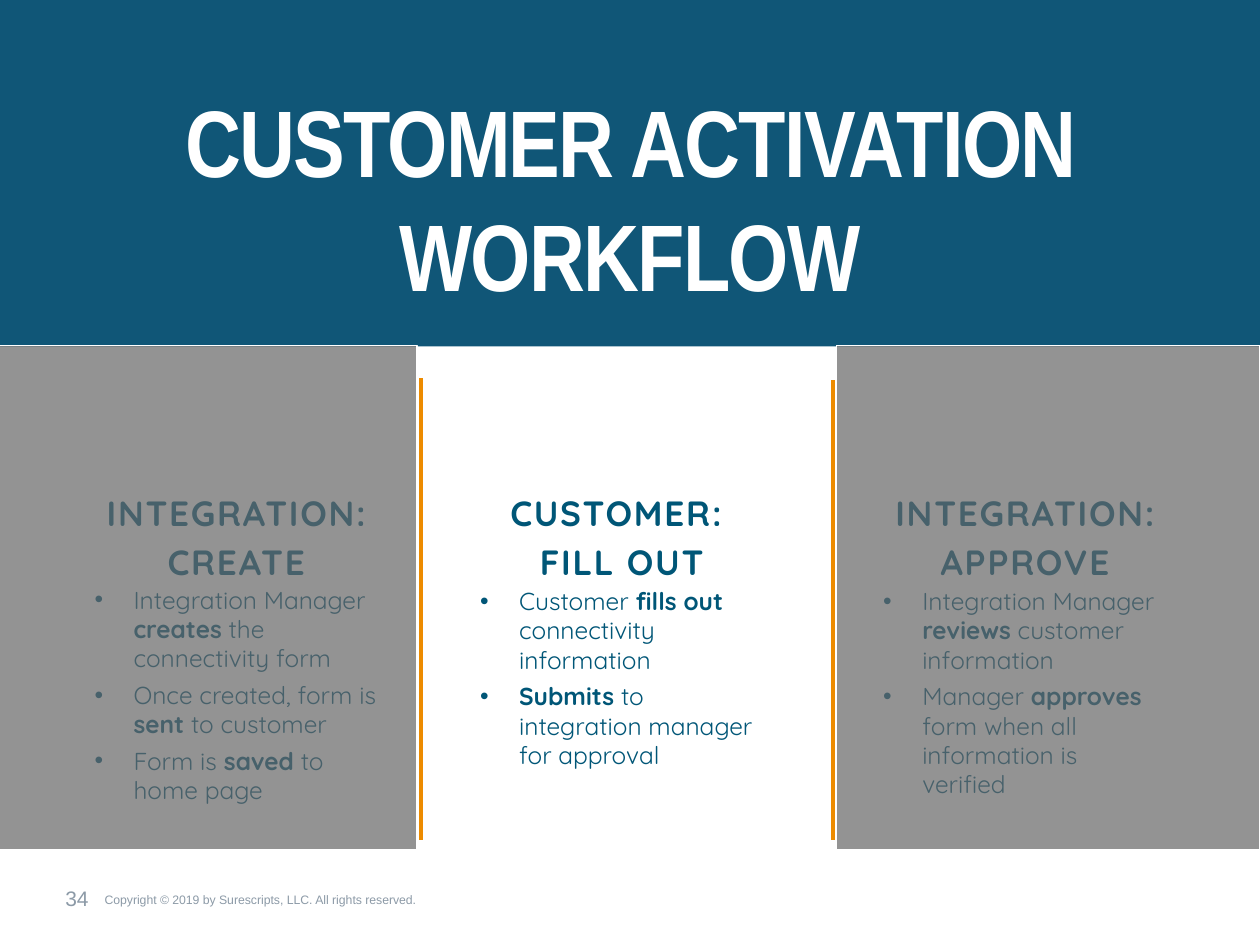
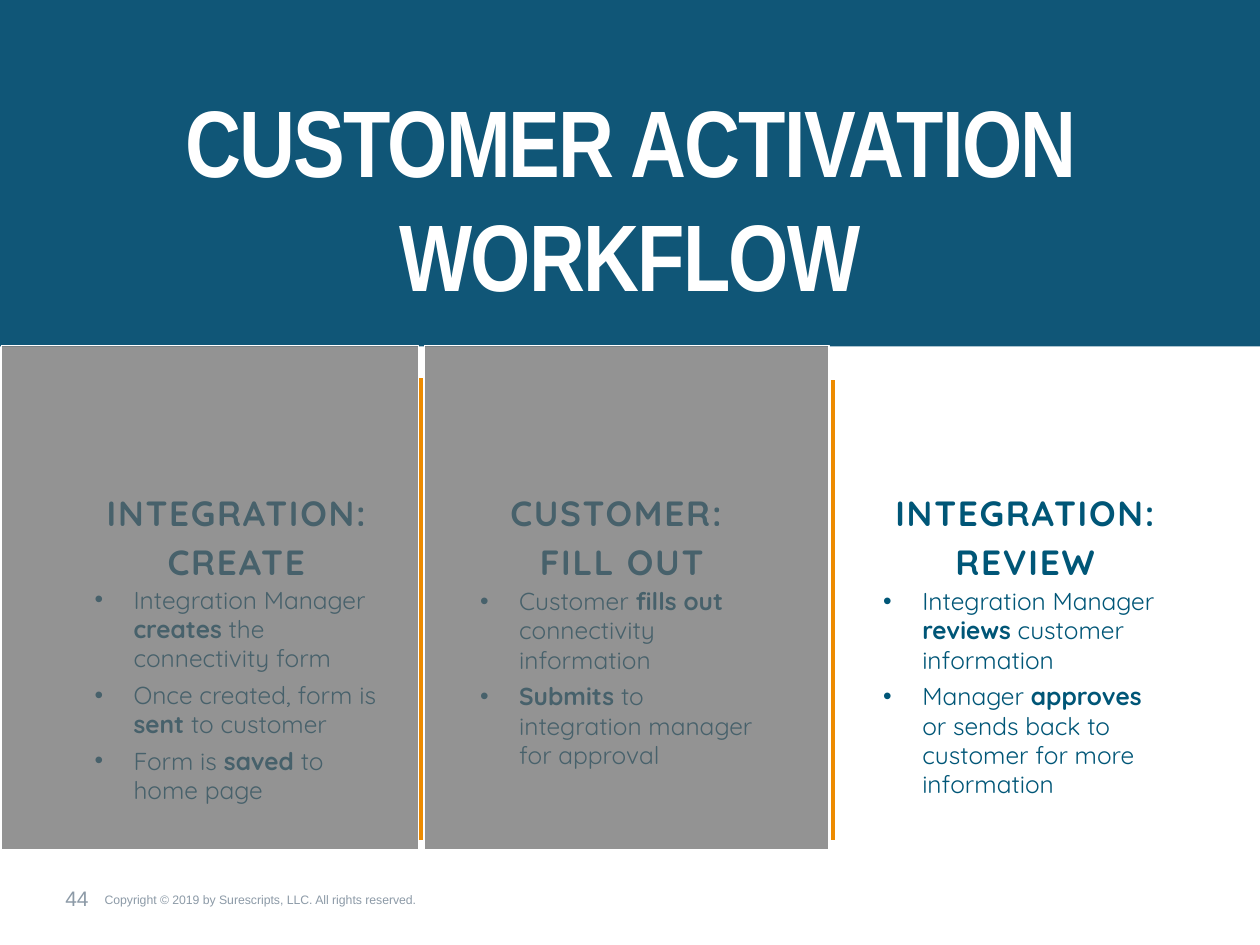
from lxml.etree import SubElement
from pptx import Presentation
from pptx.dml.color import RGBColor
from pptx.enum.shapes import MSO_CONNECTOR, MSO_SHAPE
from pptx.enum.text import MSO_ANCHOR, PP_ALIGN
from pptx.oxml.ns import qn
from pptx.util import Inches, Pt

WHITE = RGBColor(0xFF, 0xFF, 0xFF)
BAND_BLUE = RGBColor(0x10, 0x56, 0x77)
TEXT_BLUE = RGBColor(0x00, 0x56, 0x77)
ORANGE = RGBColor(0xED, 0x8B, 0x00)
SHADE_GRAY = RGBColor(0x66, 0x66, 0x66)
FOOTER_GRAY = RGBColor(0x8C, 0x9A, 0xA7)

TITLE = "CUSTOMER ACTIVATION WORKFLOW"
COPYRIGHT = "Copyright © 2019 by Surescripts, LLC. All rights reserved."
DIVIDERS = [(3.34, 3), (6.61, 3.02)]
DIVIDER_BOTTOM = 6.67
COLUMN_WIDTH = 2.25
SHADE_TOP, SHADE_HEIGHT = 2.74, 4
SHADE_OPACITY = 70

# Words between asterisks are bold
CREATE = (0.75, 4.64, ["INTEGRATION:", "CREATE"], [
    "Integration Manager *creates* the connectivity form",
    "Once created, form is *sent* to customer",
    "Form is *saved* to home page",
])
FILL_OUT = (3.81, 4.65, ["CUSTOMER: ", "FILL OUT"], [
    "Customer *fills out *connectivity information",
    "*Submits* to integration manager for approval",
])


def final_step(name, outcome):
    return (7.01, 4.65, ["INTEGRATION:", name], [
        "Integration Manager *reviews* customer information",
        f"Manager *approves* {outcome}",
    ])


PAGES = [
    ("34", final_step("APPROVE", "form when all information is verified"),
     [(-0.02, 3.33), (6.64, 3.36)]),
    ("44", final_step("REVIEW", "or sends back to customer for more information"),
     [(3.37, 3.21), (0.01, 3.31)]),
]


class WorkflowDeck:
    def __init__(self):
        self.deck = Presentation()
        self.deck.slide_width = Inches(10)
        self.deck.slide_height = Inches(7.5)
        self.page = None

    def add_page(self):
        self.page = self.deck.slides.add_slide(self.deck.slide_layouts[6])

    def rect(self, left, top, width, height, color, opacity=None, outline=None):
        shape = self.page.shapes.add_shape(
            MSO_SHAPE.RECTANGLE, Inches(left), Inches(top), Inches(width), Inches(height))
        shape.shadow.inherit = False
        shape.fill.solid()
        shape.fill.fore_color.rgb = color
        if opacity is not None:
            fill_color = shape.fill._xPr.find(qn("a:solidFill"))[0]
            SubElement(fill_color, qn("a:alpha"), val=str(opacity * 1000))
        if outline is None:
            shape.line.fill.background()
        else:
            shape.line.color.rgb = outline
            shape.line.width = Pt(0.75)

    def divider(self, x, top, bottom):
        line = self.page.shapes.add_connector(
            MSO_CONNECTOR.STRAIGHT, Inches(x), Inches(top), Inches(x), Inches(bottom))
        line.line.color.rgb = ORANGE
        line.line.width = Pt(2)
        SubElement(line._element.spPr, qn("a:effectLst"))

    def text(self, left, top, width, height, lines, font, size, color, bold=False,
             align=PP_ALIGN.LEFT, anchor=MSO_ANCHOR.TOP, spacing=0, bullets=False,
             margin=0):
        box = self.page.shapes.add_textbox(
            Inches(left), Inches(top), Inches(width), Inches(height))
        frame = box.text_frame
        frame.word_wrap = True
        frame.vertical_anchor = anchor
        frame.margin_left = frame.margin_right = Inches(margin)
        frame.margin_top = frame.margin_bottom = Inches(margin / 2)
        for index, line in enumerate(lines):
            para = frame.paragraphs[0] if index == 0 else frame.add_paragraph()
            para.alignment = align
            if index:
                para.space_before = Pt(4)
            if bullets:
                self.bullet(para)
            for part, words in enumerate(line.split("*")):
                if words:
                    self.span(para, words, font, size, color, bold or part % 2 == 1, spacing)

    def bullet(self, para):
        properties = para._p.get_or_add_pPr()
        properties.set("marL", str(Inches(0.31)))
        properties.set("indent", str(-Inches(0.31)))
        SubElement(properties, qn("a:buFont"), typeface="Arial")
        SubElement(properties, qn("a:buChar"), char="•")

    def span(self, para, words, font, size, color, bold, spacing):
        span = para.add_run()
        span.text = words
        span.font.name = font
        span.font.size = Pt(size)
        span.font.bold = bold
        span.font.color.rgb = color
        if spacing:
            span.font._element.set("spc", str(spacing * 100))

    def frame(self):
        self.text(0.83, 6.8, 8.88, 0.4, [COPYRIGHT], "Arial", 7, FOOTER_GRAY,
                  anchor=MSO_ANCHOR.BOTTOM)
        self.rect(0, 0, 10, 2.75, BAND_BLUE)
        for x, top in DIVIDERS:
            self.divider(x, top, DIVIDER_BOTTOM)
        self.text(1, 0.42, 8, 2.04, [TITLE], "Arial Narrow", 54, WHITE, bold=True,
                  align=PP_ALIGN.CENTER, anchor=MSO_ANCHOR.BOTTOM, spacing=-1)

    def step(self, left, body_top, heading, points):
        self.text(left, 3.9, COLUMN_WIDTH, 0.75, heading, "Quicksand", 20, TEXT_BLUE,
                  bold=True, align=PP_ALIGN.CENTER, spacing=1)
        self.text(left, body_top, COLUMN_WIDTH, 2.09, points, "Quicksand", 14, TEXT_BLUE,
                  bullets=True)

    def page_number(self, number):
        self.text(0.42, 6.93, 2.33, 0.4, [number], "Arial", 12, FOOTER_GRAY,
                  anchor=MSO_ANCHOR.MIDDLE, margin=0.1)

    def shade(self, left, width):
        self.rect(left, SHADE_TOP, width, SHADE_HEIGHT, SHADE_GRAY, SHADE_OPACITY, WHITE)


def main():
    workflow = WorkflowDeck()
    for number, last_step, shades in PAGES:
        workflow.add_page()
        workflow.frame()
        for step in (CREATE, FILL_OUT, last_step):
            workflow.step(*step)
        workflow.page_number(number)
        for left, width in shades:
            workflow.shade(left, width)
    workflow.deck.save("out.pptx")


if __name__ == "__main__":
    main()
